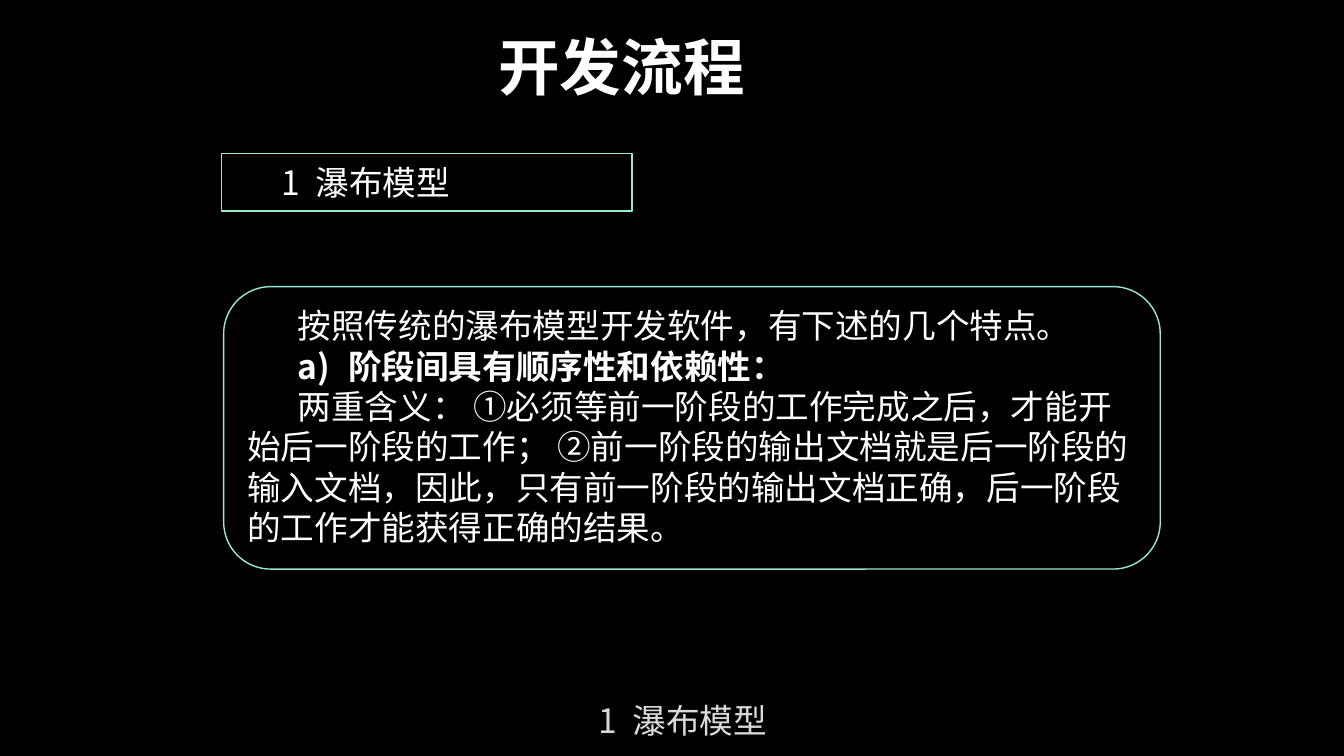
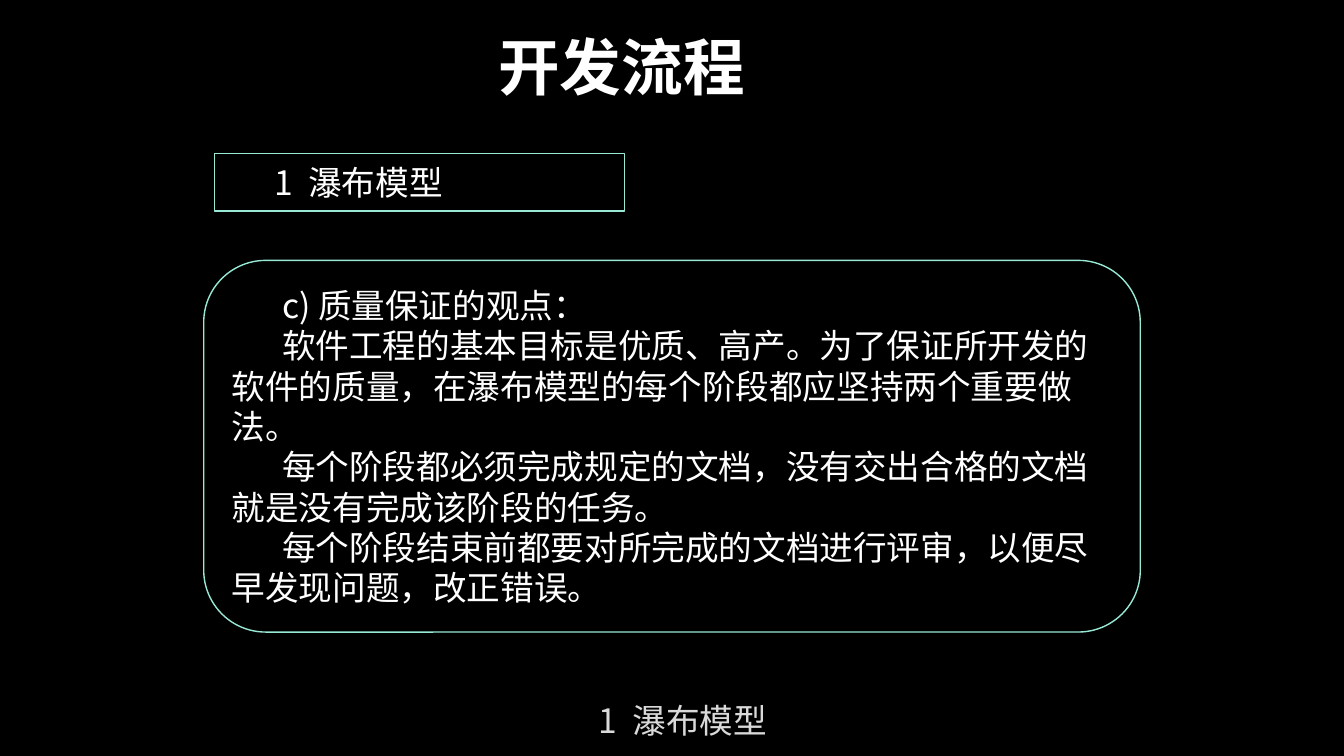
from dataclasses import dataclass

from lxml.etree import SubElement
from pptx import Presentation
from pptx.dml.color import RGBColor
from pptx.enum.shapes import MSO_SHAPE
from pptx.enum.text import MSO_ANCHOR, PP_ALIGN
from pptx.oxml.ns import qn
from pptx.util import Pt


@dataclass(frozen=True)
class Theme:
    """Colours, fonts and type sizes shared by the slides."""
    background: RGBColor = RGBColor(0x00, 0x00, 0x00)
    text: RGBColor = RGBColor(0xFF, 0xFF, 0xFF)
    muted: RGBColor = RGBColor(0xD9, 0xD9, 0xD9)
    outline: RGBColor = RGBColor(0x97, 0xE9, 0xD5)
    font: str = "Noto Sans CJK SC"
    title_size: int = 44
    body_size: int = 24
    line_pitch: float = 28.8
    outline_width: int = 1


THEME = Theme()
EMU_PER_PX = 9525
INDENT = 48
PAGE_SIZE = (1280, 720)
TITLE_BOX = (160, 3, 864, 120)
FOOTER_BOX = (454, 661, 393, 50)
TITLE = "开发流程"
SECTION = "1  瀑布模型"

SLIDES = [
    {
        "heading_box": (211, 146, 391, 55),
        "panel_box": (213, 273, 892, 269),
        "right_inset": 10,
        "anchor": MSO_ANCHOR.TOP,
        "paragraphs": [
            ("按照传统的瀑布模型开发软件，有下述的几个特点。", False),
            ("阶段间具有顺序性和依赖性：", True),
            ("两重含义： ①必须等前一阶段的工作完成之后，才能开始后一阶段的工作； "
             "②前一阶段的输出文档就是后一阶段的输入文档，因此，只有前一阶段的输出文档正确，"
             "后一阶段的工作才能获得正确的结果。", False),
        ],
    },
    {
        "heading_box": (204, 146, 391, 55),
        "panel_box": (194, 248, 892, 354),
        "right_inset": 23,
        "anchor": MSO_ANCHOR.MIDDLE,
        "paragraphs": [
            ("c) 质量保证的观点：", False),
            ("软件工程的基本目标是优质、高产。为了保证所开发的软件的质量，"
             "在瀑布模型的每个阶段都应坚持两个重要做法。", False),
            ("每个阶段都必须完成规定的文档，没有交出合格的文档就是没有完成该阶段的任务。", False),
            ("每个阶段结束前都要对所完成的文档进行评审，以便尽早发现问题，改正错误。", False),
        ],
    },
]


def px(length):
    """Turn pixels into EMU."""
    return length * EMU_PER_PX


def apply_format(target, values):
    """Set each named attribute on the target."""
    for name, value in values.items():
        setattr(target, name, value)


def write(para, text, color=THEME.text, size=THEME.body_size, bold=False):
    """Add one styled run to a paragraph."""
    span = para.add_run()
    span.text = text
    apply_format(span.font, {"name": THEME.font, "size": Pt(size), "bold": bold})
    span.font.color.rgb = color
    SubElement(span._r.get_or_add_rPr(), qn("a:ea"), typeface=THEME.font)


def indent(para, left, first_line):
    """Set the left margin and first-line indent of a paragraph."""
    properties = para._p.get_or_add_pPr()
    for name, value in {"marL": left, "indent": first_line}.items():
        properties.set(name, str(px(value)))


def add_label(page, area, text, **style):
    """Place a centred line of text in the given box."""
    box = page.shapes.add_textbox(*map(px, area))
    apply_format(box.text_frame, {"word_wrap": True, "vertical_anchor": MSO_ANCHOR.MIDDLE})
    para = box.text_frame.paragraphs[0]
    para.alignment = PP_ALIGN.CENTER
    write(para, text, **style)


def add_outline(page, kind, area, anchor):
    """Place an unfilled outlined shape and return its text frame."""
    box = page.shapes.add_shape(kind, *map(px, area))
    box.shadow.inherit = False
    box.fill.background()
    box.line.color.rgb = THEME.outline
    box.line.width = Pt(THEME.outline_width)
    apply_format(box.text_frame, {"word_wrap": True, "vertical_anchor": anchor})
    return box.text_frame


def add_heading(page, area):
    """Place the framed section heading."""
    frame = add_outline(page, MSO_SHAPE.RECTANGLE, area, MSO_ANCHOR.MIDDLE)
    para = frame.paragraphs[0]
    para.alignment = PP_ALIGN.LEFT
    indent(para, 0, INDENT)
    write(para, SECTION)


def add_panel(page, area, anchor, right_inset, paragraphs):
    """Place the rounded panel with its body paragraphs."""
    frame = add_outline(page, MSO_SHAPE.ROUNDED_RECTANGLE, area, anchor)
    apply_format(frame, {"margin_right": px(right_inset)})
    for index, (text, lettered) in enumerate(paragraphs):
        para = frame.add_paragraph() if index else frame.paragraphs[0]
        apply_format(para, {"alignment": PP_ALIGN.LEFT, "line_spacing": Pt(THEME.line_pitch)})
        if lettered:
            indent(para, 2 * INDENT, -INDENT)
            SubElement(para._p.get_or_add_pPr(), qn("a:buAutoNum"), type="alphaLcParenR")
        else:
            indent(para, 0, INDENT)
        write(para, text, bold=lettered)


def add_page(deck, content):
    """Build one slide from its content."""
    page = deck.slides.add_slide(deck.slide_layouts[6])
    page.background.fill.solid()
    page.background.fill.fore_color.rgb = THEME.background
    add_panel(page, content["panel_box"], content["anchor"],
              content["right_inset"], content["paragraphs"])
    add_label(page, TITLE_BOX, TITLE, size=THEME.title_size, bold=True)
    add_heading(page, content["heading_box"])
    add_label(page, FOOTER_BOX, SECTION, color=THEME.muted)


def main():
    """Build and save the deck."""
    deck = Presentation()
    deck.slide_width, deck.slide_height = map(px, PAGE_SIZE)
    for content in SLIDES:
        add_page(deck, content)
    deck.save("out.pptx")


if __name__ == "__main__":
    main()
